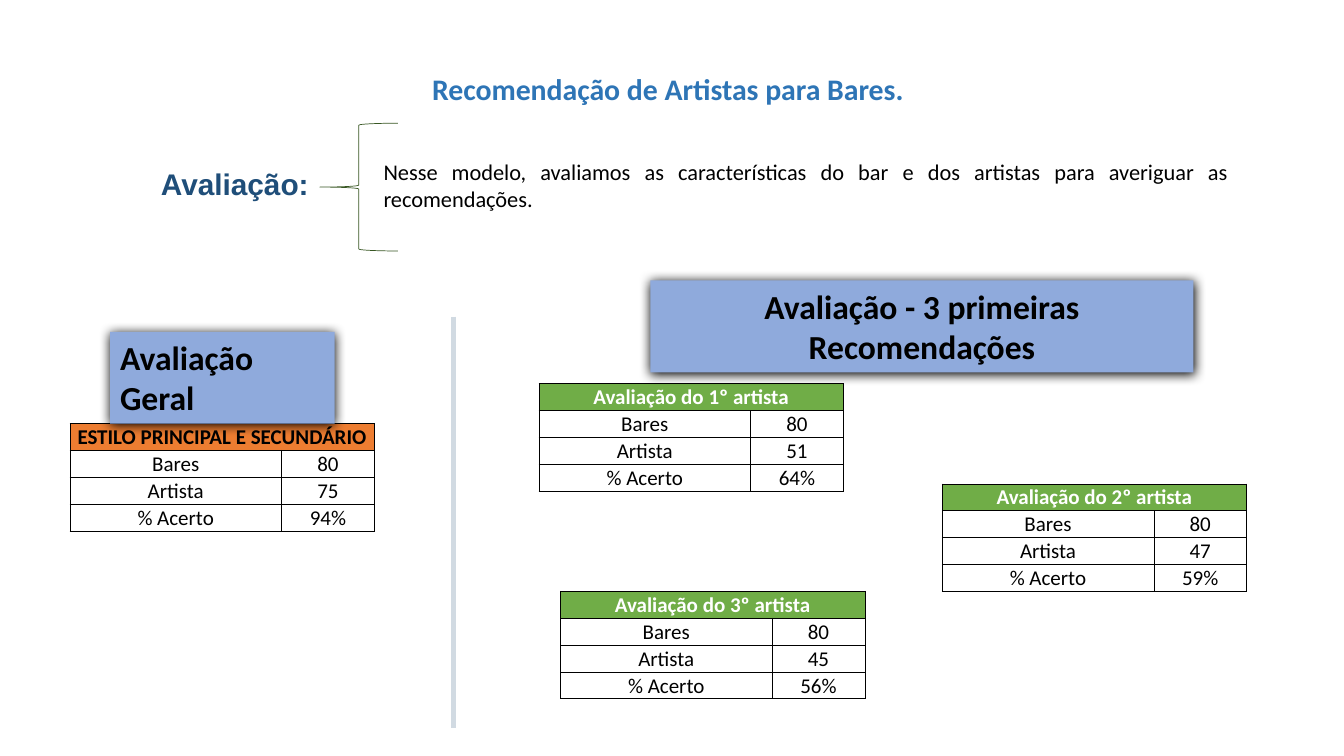
from dataclasses import dataclass

from lxml import etree
from pptx import Presentation
from pptx.dml.color import RGBColor
from pptx.enum.shapes import MSO_CONNECTOR, MSO_SHAPE
from pptx.enum.text import MSO_ANCHOR, PP_ALIGN
from pptx.oxml import parse_xml
from pptx.oxml.ns import nsdecls, qn
from pptx.util import Inches, Pt

LEFT, MID, FULL = PP_ALIGN.LEFT, PP_ALIGN.CENTER, PP_ALIGN.JUSTIFY
TOP, CENTER, BOTTOM = MSO_ANCHOR.TOP, MSO_ANCHOR.MIDDLE, MSO_ANCHOR.BOTTOM
RECT, BRACE = MSO_SHAPE.RECTANGLE, MSO_SHAPE.LEFT_BRACE
LINE = MSO_CONNECTOR.STRAIGHT
WIDE, HIGH = Inches(13.33), Inches(7.5)


@dataclass(frozen=True)
class Theme:
    body: str = "Calibri"
    label: str = "Arial"
    black: str = "000000"
    white: str = "FFFFFF"
    title: str = "2E75B6"
    navy: str = "1F4E79"
    blue: str = "8FAADC"
    green: str = "70AD47"
    orange: str = "ED7D31"
    brace: str = "385723"
    rule: str = "D1DAE2"
    small: float = 15
    text: float = 16
    head: float = 21.3
    large: float = 24


THEME = Theme()


def rgb(code):
    return RGBColor.from_string(code)


def place(x, y, w, h):
    """Turn percent shares of the slide into lengths."""
    return (int(WIDE * x / 100), int(HIGH * y / 100),
            int(WIDE * w / 100), int(HIGH * h / 100))


def write(frame, text, size, color, bold=False, align=LEFT, face=THEME.body):
    para = frame.paragraphs[0]
    para.text = text
    para.alignment = align
    font = para.font
    font.name, font.size, font.bold = face, Pt(size), bold
    font.color.rgb = rgb(color)


def add_text(slide, area, text, size, color, inset=(0.13, 0.13), **style):
    frame = slide.shapes.add_textbox(*place(*area)).text_frame
    frame.word_wrap = True
    frame.margin_left = frame.margin_right = Inches(inset[0])
    frame.margin_top = Inches(inset[1])
    write(frame, text, size, color, **style)


def add_form(slide, kind, area, fill=None, line=None):
    form = slide.shapes.add_shape(kind, *place(*area))
    form.shadow.inherit = False
    if fill:
        form.fill.solid()
        form.fill.fore_color.rgb = rgb(fill)
    else:
        form.fill.background()
    if line:
        form.line.color.rgb = rgb(line)
        form.line.width = Pt(0.5)
    else:
        form.line.fill.background()
    return form


def add_banner(slide, area, text, align):
    form = add_form(slide, RECT, area, THEME.blue)
    glow = form._element.spPr.find(qn("a:effectLst"))
    glow.append(parse_xml(
        f'<a:outerShdw {nsdecls("a")} blurRad="{Pt(8.5)}" dist="{Pt(1)}" '
        f'dir="5400000" rotWithShape="0"><a:srgbClr val="{THEME.black}"/>'
        '</a:outerShdw>'))
    frame = form.text_frame
    frame.word_wrap = True
    frame.vertical_anchor = TOP
    write(frame, text, THEME.large, THEME.black, True, align)


def add_edges(cell):
    props = cell._tc.get_or_add_tcPr()
    for spot, side in enumerate("LRTB"):
        props.insert(spot, parse_xml(
            f'<a:ln{side} {nsdecls("a")} w="{Pt(0.5)}"><a:solidFill>'
            f'<a:srgbClr val="{THEME.black}"/></a:solidFill></a:ln{side}>'))


def add_score(slide, x, y, head, hits, rate, fill=THEME.green,
              ink=THEME.white, anchor=CENTER):
    rows = [(head, ""), ("Bares", "80"), ("Artista", hits), ("% Acerto", rate)]
    table = slide.shapes.add_table(
        len(rows), 2, *place(x, y, 22.65, 14.24)).table
    table.first_row = table.horz_banding = False
    for col, share in zip(table.columns, (15.75, 6.9)):
        col.width = int(WIDE * share / 100)
    table.cell(0, 0).merge(table.cell(0, 1))
    for r, row in enumerate(rows):
        for c, text in enumerate(row):
            cell = table.cell(r, c)
            cell.margin_left = cell.margin_right = Inches(0.01)
            cell.margin_top, cell.margin_bottom = Inches(0.01), 0
            cell.vertical_anchor = anchor
            if r == 0:
                cell.fill.solid()
                cell.fill.fore_color.rgb = rgb(fill)
            else:
                cell.fill.background()
            add_edges(cell)
            write(cell.text_frame, text, THEME.small,
                  THEME.black if r else ink, r == 0, MID)


def add_rule(slide, x, top, end):
    left, start, _, stop = place(x, top, 0, end)
    rule = slide.shapes.add_connector(LINE, left, start, left, stop)
    rule.line.color.rgb = rgb(THEME.rule)
    rule.line.width = Pt(3)
    etree.SubElement(rule._element.spPr, qn("a:effectLst"))


def main():
    deck = Presentation()
    deck.slide_width, deck.slide_height = WIDE, HIGH
    slide = deck.slides.add_slide(deck.slide_layouts[6])

    # Score tables
    add_score(slide, 5.2, 56, "ESTILO PRINCIPAL E SECUNDÁRIO", "75", "94%",
              THEME.orange, THEME.black, BOTTOM)
    for rank, (x, y, hits, rate) in enumerate((
            (40.1, 50.75, "51", "64%"),
            (70.1, 64, "47", "59%"),
            (41.7, 78.2, "45", "56%")), 1):
        add_score(slide, x, y, f"Avaliação do {rank}º artista", hits, rate)

    # Title and summary
    add_text(slide, (8.4, 7.6, 82.6, 11.1),
             "Recomendação de Artistas para Bares.",
             THEME.head, THEME.title, bold=True, align=MID)
    add_text(slide, (10.1, 17.8, 24.5, 11.6), "Avaliação:", THEME.head,
             THEME.navy, inset=(0.25, 0.31), bold=True, face=THEME.label)
    add_text(slide, (27.8, 20.3, 64.35, 8.5),
             "Nesse modelo, avaliamos as características do bar e dos artistas "
             "para averiguar as recomendações.",
             THEME.text, THEME.black, inset=(0.1, 0.05), align=FULL)
    brace = add_form(slide, BRACE, (23.8, 16.3, 5.8, 16.9), line=THEME.brace)
    brace.adjustments[0], brace.adjustments[1] = 0.025, 0.5

    # Banners and divider
    add_banner(slide, (8.2, 43.9, 16.7, 12.15), "Avaliação Geral", LEFT)
    add_banner(slide, (48.4, 37.1, 40.4, 12.15),
               "Avaliação - 3 primeiras Recomendações", MID)
    add_rule(slide, 33.75, 41.9, 96.3)

    deck.save("out.pptx")


if __name__ == "__main__":
    main()
